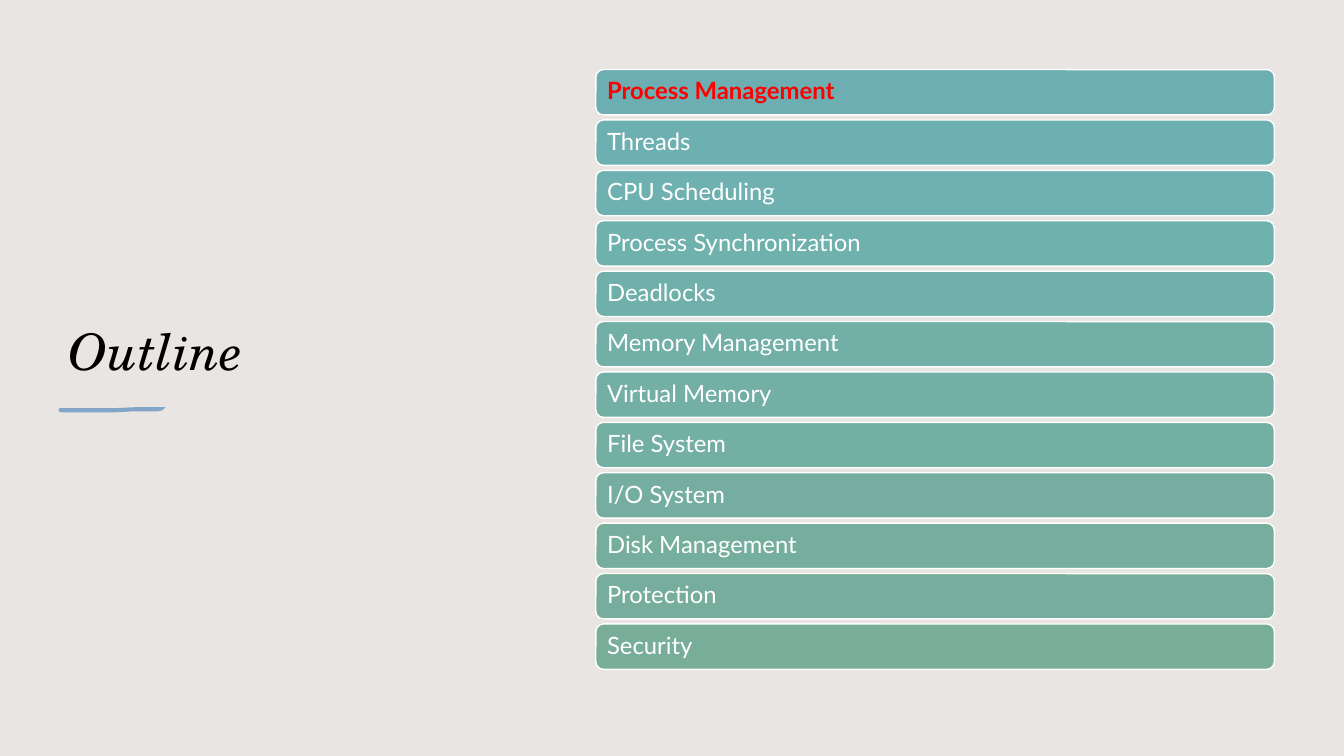
from dataclasses import dataclass

from pptx import Presentation
from pptx.dml.color import RGBColor
from pptx.enum.shapes import MSO_SHAPE as Shape
from pptx.enum.text import MSO_ANCHOR as Anchor, MSO_AUTO_SIZE as AutoSize, PP_ALIGN as Align
from pptx.util import Inches, Pt


@dataclass(frozen=True)
class Theme:
    background: str = "E8E5E2"
    title: str = "000000"
    underline: str = "81A6C7"
    white: str = "FFFFFF"
    highlight: str = "FF0000"
    title_font: str = "TeX Gyre Schola"
    body_font: str = "Lato"
    title_size: int = 36
    body_size: int = 17


def set_all(target, values):
    for name, value in values.items():
        setattr(target, name, value)


def write(box, text, frame_format, font_format, color):
    frame = box.text_frame
    set_all(frame, {"word_wrap": True, "auto_size": AutoSize.NONE, **frame_format})
    para = frame.paragraphs[0]
    set_all(para, {"alignment": Align.LEFT, "line_spacing": 0.9})
    span = para.add_run()
    span.text = text
    set_all(span.font, font_format)
    span.font.color.rgb = RGBColor.from_string(color)


theme = Theme()
deck = Presentation()
set_all(deck, {"slide_width": Inches(13.33), "slide_height": Inches(7.5)})
page = deck.slides.add_slide(deck.slide_layouts[5])
page.background.fill.solid()
page.background.fill.fore_color.rgb = RGBColor.from_string(theme.background)

# Title
title = page.shapes.title
set_all(title, {"left": Inches(0.58), "top": Inches(0.7),
                "width": Inches(4.67), "height": Inches(3.13)})
write(title, "Outline", {"vertical_anchor": Anchor.BOTTOM},
      {"name": theme.title_font, "size": Pt(theme.title_size), "italic": True}, theme.title)

# Brush stroke under the title
stroke = [(0.59, 4.05), (0.75, 4.05), (1.11, 4.05), (1.33, 4.04), (1.64, 4.04),
          (1.61, 4.07), (1.57, 4.08), (1.33, 4.08), (1.15, 4.09), (0.6, 4.09), (0.58, 4.07)]
points = [(Inches(x), Inches(y)) for x, y in stroke]
builder = page.shapes.build_freeform(*points[0])
builder.add_line_segments(points[1:], close=True)
underline = builder.convert_to_shape()
underline.shadow.inherit = False
underline.fill.solid()
underline.fill.fore_color.rgb = RGBColor.from_string(theme.underline)
underline.line.fill.background()

# Topic bars
topics = [
    ("Process Management", "6CAEB2"),
    ("Threads", "6DB0B2"),
    ("CPU Scheduling", "6EB1B0"),
    ("Process Synchronization", "6FB1AD"),
    ("Deadlocks", "70B0AA"),
    ("Memory Management", "72B0A7"),
    ("Virtual Memory", "73AFA5"),
    ("File System", "74AFA3"),
    ("I/O System", "75AEA0"),
    ("Disk Management", "76AE9E"),
    ("Protection", "77AD9C"),
    ("Security", "78AD9A"),
]
current_topic = "Process Management"
first_top, bar_step = 0.69, 0.5
bar_frame = {"vertical_anchor": Anchor.MIDDLE, "margin_left": Inches(0.09),
             "margin_right": Inches(0.09), "margin_top": Inches(0.07),
             "margin_bottom": Inches(0.07)}

for index, (topic, color) in enumerate(topics):
    bar = page.shapes.add_shape(Shape.ROUNDED_RECTANGLE, Inches(5.91),
                                Inches(first_top + index * bar_step),
                                Inches(6.73), Inches(0.45))
    bar.shadow.inherit = False
    bar.fill.solid()
    bar.fill.fore_color.rgb = RGBColor.from_string(color)
    bar.line.color.rgb = RGBColor.from_string(theme.white)
    bar.line.width = Pt(1)
    is_current = topic == current_topic
    write(bar, topic, bar_frame,
          {"name": theme.body_font, "size": Pt(theme.body_size), "bold": is_current},
          theme.highlight if is_current else theme.white)

deck.save("out.pptx")
